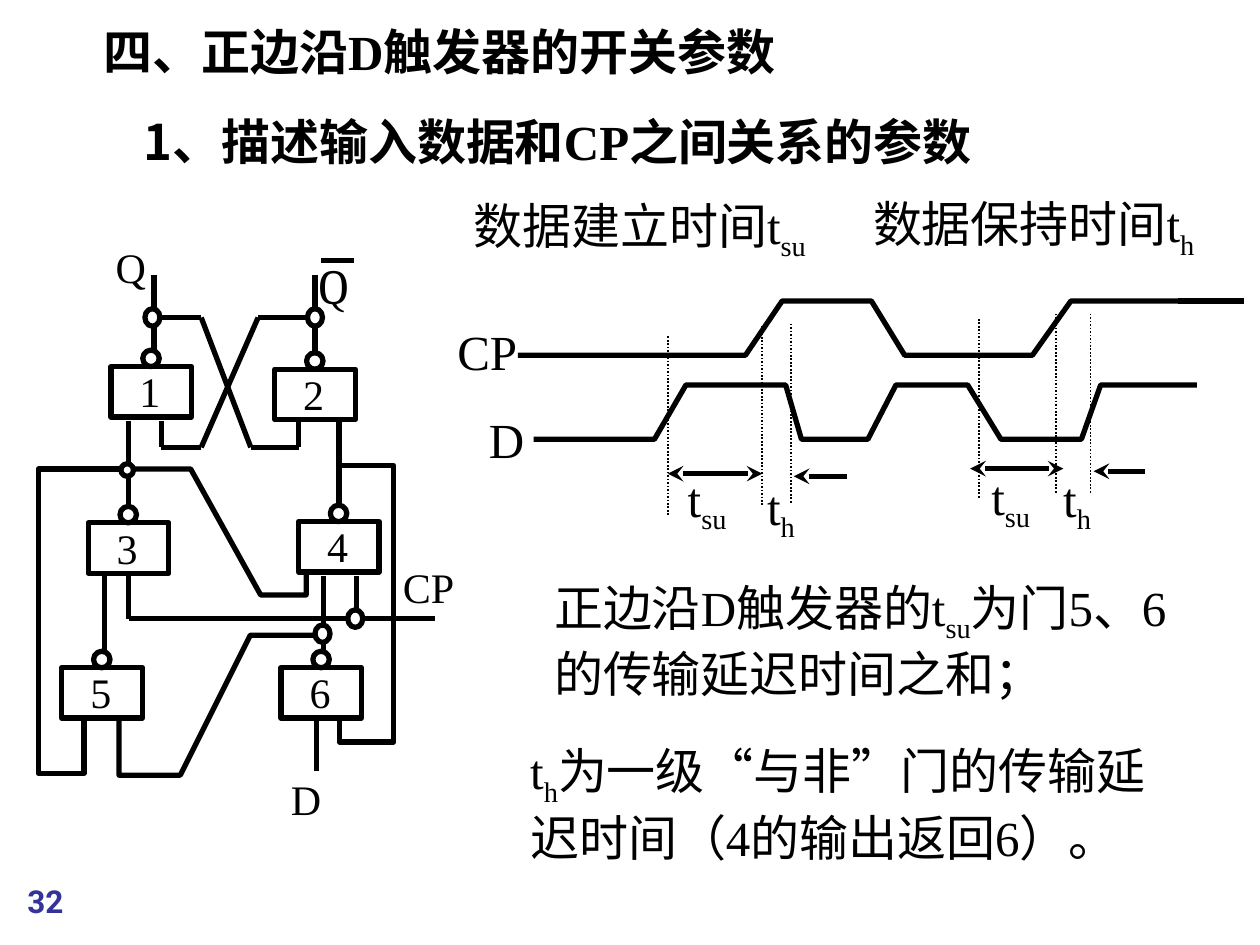
from dataclasses import dataclass
from itertools import cycle

from lxml import etree
from pptx import Presentation
from pptx.dml.color import RGBColor
from pptx.enum import dml, shapes, text
from pptx.oxml import ns
from pptx.util import Pt

SERIF = "Times New Roman"
CJK = "Noto Sans CJK SC"
BLACK = "000000"
WHITE = "FFFFFF"
Point = tuple[float, float]


@dataclass
class Run:
    text: str
    font: str = SERIF
    sub: bool = False


@dataclass
class Label:
    runs: list[Run]
    x: float
    y: float
    w: float
    h: float = 41
    size: float = 28
    bold: bool = False
    color: str = BLACK
    inset: bool = True
    wrap: bool = True


@dataclass
class Wire:
    start: Point
    end: Point
    width: float = 3
    dotted: bool = False
    head: bool = False
    tail: bool = False


@dataclass
class Gate:
    name: str
    x: float
    y: float


def rgb(value: str) -> RGBColor:
    return RGBColor.from_string(value)


def write(sp, label: Label) -> None:
    tf = sp.text_frame
    frame = {"word_wrap": label.wrap, "auto_size": text.MSO_AUTO_SIZE.NONE,
             "vertical_anchor": text.MSO_ANCHOR.TOP}
    if not label.inset:
        frame |= dict.fromkeys(
            ("margin_left", "margin_top", "margin_right", "margin_bottom"), 0)
    for key, value in frame.items():
        setattr(tf, key, value)
    p = tf.paragraphs[0]
    p.alignment = text.PP_ALIGN.LEFT
    for run in label.runs:
        r = p.add_run()
        r.text = run.text
        style = {"size": Pt(label.size), "bold": label.bold, "name": run.font}
        for key, value in style.items():
            setattr(r.font, key, value)
        r.font.color.rgb = rgb(label.color)
        props = r.font._element
        etree.SubElement(props, ns.qn("a:ea"), typeface=CJK)
        if run.sub:
            props.set("baseline", "-25000")


def add_label(s, label: Label) -> None:
    box = [Pt(v) for v in (label.x, label.y, label.w, label.h)]
    write(s.shapes.add_textbox(*box), label)


def add_wire(s, wire: Wire) -> None:
    ends = [Pt(v) for v in (*wire.start, *wire.end)]
    sp = s.shapes.add_connector(shapes.MSO_CONNECTOR.STRAIGHT, *ends)
    sp.line.width = Pt(wire.width)
    sp.line.color.rgb = rgb(BLACK)
    if wire.dotted:
        sp.line.dash_style = dml.MSO_LINE.ROUND_DOT
    ln = sp.line._get_or_add_ln()
    for tag, wanted in (("a:headEnd", wire.head), ("a:tailEnd", wire.tail)):
        if wanted:
            etree.SubElement(ln, ns.qn(tag), type="stealth")
    etree.SubElement(sp._element.spPr, ns.qn("a:effectLst"))


def outline(sp, fill: str = "") -> None:
    sp.shadow.inherit = False
    sp.line.color.rgb = rgb(BLACK)
    sp.line.width = Pt(3)
    if fill:
        sp.fill.solid()
        sp.fill.fore_color.rgb = rgb(fill)
    else:
        sp.fill.background()


def add_path(s, points: list[Point]) -> None:
    builder = s.shapes.build_freeform(*points[0], scale=float(Pt(1)))
    builder.add_line_segments(points[1:], close=False)
    outline(builder.convert_to_shape())


def add_wave(s, xs: list[float], low: float, high: float) -> None:
    add_path(s, list(zip(xs, cycle((low, low, high, high)))))


def add_box(s, kind, x: float, y: float, w: float, h: float, fill: str = "") -> None:
    outline(s.shapes.add_shape(kind, Pt(x), Pt(y), Pt(w), Pt(h)), fill)


def add_gate(s, gate: Gate) -> None:
    add_box(s, shapes.MSO_SHAPE.RECTANGLE, gate.x, gate.y, 46, 28.8)
    add_box(s, shapes.MSO_SHAPE.OVAL, gate.x + 18.2, gate.y - 9.4, 9.4, 9.4)
    add_label(s, Label([Run(gate.name)], gate.x + 9.2, gate.y - 4, 29.5, 36, 24))


def timed(name: str, sub: str) -> list[Run]:
    return [Run(name), Run(sub, sub=True)]


TITLE = Label([Run("四、正边沿", CJK), Run("D"), Run("触发器的开关参数", CJK)],
              52, 8.6, 434, bold=True)
LABELS = [
    Label([Run("1、描述输入数据和", CJK), Run("CP"), Run("之间关系的参数", CJK)],
          75, 60, 540, bold=True),
    Label(timed("数据建立时间t", "su"), 263.5, 108, 215.3),
    Label(timed("数据保持时间t", "h"), 491.8, 107.3, 213.8),
    Label([Run("CP")], 254.2, 180, 68.4),
    Label([Run("D")], 272.2, 230.4, 46.8),
    Label(timed("t", "su"), 385.9, 264.2, 56),
    Label(timed("t", "su"), 559.4, 262.8, 56),
    Label(timed("t", "h"), 431.3, 268.6, 56),
    Label(timed("t", "h"), 600.5, 264.2, 56),
    Label(timed("正边沿D触发器的t", "su") + [Run("为门5、6的传输延迟时间之和；")],
          309.6, 326.2, 377.3, 75),
    Label(timed("t", "h") + [Run("为一级“与非”门的传输延迟时间（4的输出返回6）。")],
          295.9, 419.8, 380.9, 75),
    Label([Run("CP")], 223.2, 317.5, 44, 36, 24, wrap=False),
    Label([Run("D")], 159.1, 438.5, 32, 36, 24, wrap=False),
    Label([Run("Q")], 59, 134.6, 33, 36, 24, wrap=False),
    Label([Run("Q", "Cambria")], 182.2, 146.2, 23, 34, inset=False),
    Label([Run("32", "Roboto")], 8.6, 500.4, 71.3, 26.6, 18, True, "333399"),
]
GUIDES = [(381.6, 192.2), (435.6, 186.5), (452.2, 185),
          (559.4, 182.2), (603.4, 179.3), (623.2, 179.3)]
WIRES = [Wire((x, y), (x, y + 103), 1, True) for x, y in GUIDES] + [
    Wire((673, 172), (711, 172)),
    Wire((381.6, 270.7), (435.6, 270.7), head=True, tail=True),
    Wire((554.4, 267.8), (607.7, 267.8), head=True, tail=True),
    Wire((453.6, 272.2), (483.8, 272.2), head=True),
    Wire((625, 269.3), (654.5, 269.3), head=True),
    Wire((183.6, 149), (202.3, 149)),
    Wire((88, 201), (88, 157)), Wire((180, 201), (180, 157)),
    Wire((88, 181.5), (115, 181.5)), Wire((180, 181.5), (147.5, 181.5)),
    Wire((147.5, 181.5), (115, 255.6)), Wire((115, 181.5), (143.3, 255.6)),
    Wire((92.2, 240.5), (92.2, 255.6)), Wire((170.6, 240.5), (170.6, 255.6)),
    Wire((92.2, 255.6), (115, 255.6)), Wire((170.6, 255.6), (143.3, 255.6)),
    Wire((73.5, 289.5), (73.5, 240.5)), Wire((193.7, 289.5), (193.7, 240.5)),
    Wire((59.8, 373), (59.8, 329)), Wire((185, 373), (185, 329)),
    Wire((73.5, 329), (73.5, 353.5)), Wire((203.8, 329), (203.8, 353.5)),
    Wire((73.5, 353.5), (248.4, 353.5)), Wire((180.7, 411), (180.7, 440.6)),
]
PATHS = [
    [(183, 363), (143.3, 363), (103, 442.8), (67.7, 442.8), (67.7, 410.4)],
    [(74, 268), (22.3, 268), (22.3, 442), (48.2, 442), (48.2, 410.4)],
    [(73, 268), (109.4, 268), (149, 340), (175, 340), (175, 327.6)],
    [(192.2, 266.4), (224.6, 266.4), (224.6, 424), (194.4, 424), (194.4, 409)],
]
NODES = [(180, 357.1, 8.6, 10), (198.7, 348.5, 8.6, 10), (175.7, 176.4, 8.6, 10),
         (82.8, 176.4, 8.6, 10), (69.1, 265, 7.2, 7.2)]
GATES = [Gate("1", 63.4, 209.5), Gate("2", 157, 211), Gate("3", 50.4, 298.8),
         Gate("4", 170.6, 298.1), Gate("5", 35.3, 381.6), Gate("6", 160.6, 381.6)]
CP_XS = [296, 426, 447, 497.5, 517, 590, 612, 675]
D_XS = [304.6, 374.4, 391.7, 448.6, 457.9, 496.1, 511.9, 553, 572.4, 617.8, 628.6, 684]


def main() -> None:
    prs = Presentation()
    prs.slide_width, prs.slide_height = Pt(720), Pt(540)
    s = prs.slides.add_slide(prs.slide_layouts[5])
    s.background.fill.solid()
    s.background.fill.fore_color.rgb = rgb(WHITE)
    title = s.shapes.title
    for key, value in zip(("left", "top", "width", "height"),
                          (TITLE.x, TITLE.y, TITLE.w, TITLE.h)):
        setattr(title, key, Pt(value))
    write(title, TITLE)
    add_wave(s, CP_XS, 203, 172)
    add_wave(s, D_XS, 251.3, 220.3)
    for wire in WIRES:
        add_wire(s, wire)
    for points in PATHS:
        add_path(s, points)
    for node in NODES:
        add_box(s, shapes.MSO_SHAPE.OVAL, *node, fill=WHITE)
    for gate in GATES:
        add_gate(s, gate)
    for label in LABELS:
        add_label(s, label)
    prs.save("out.pptx")


if __name__ == "__main__":
    main()
